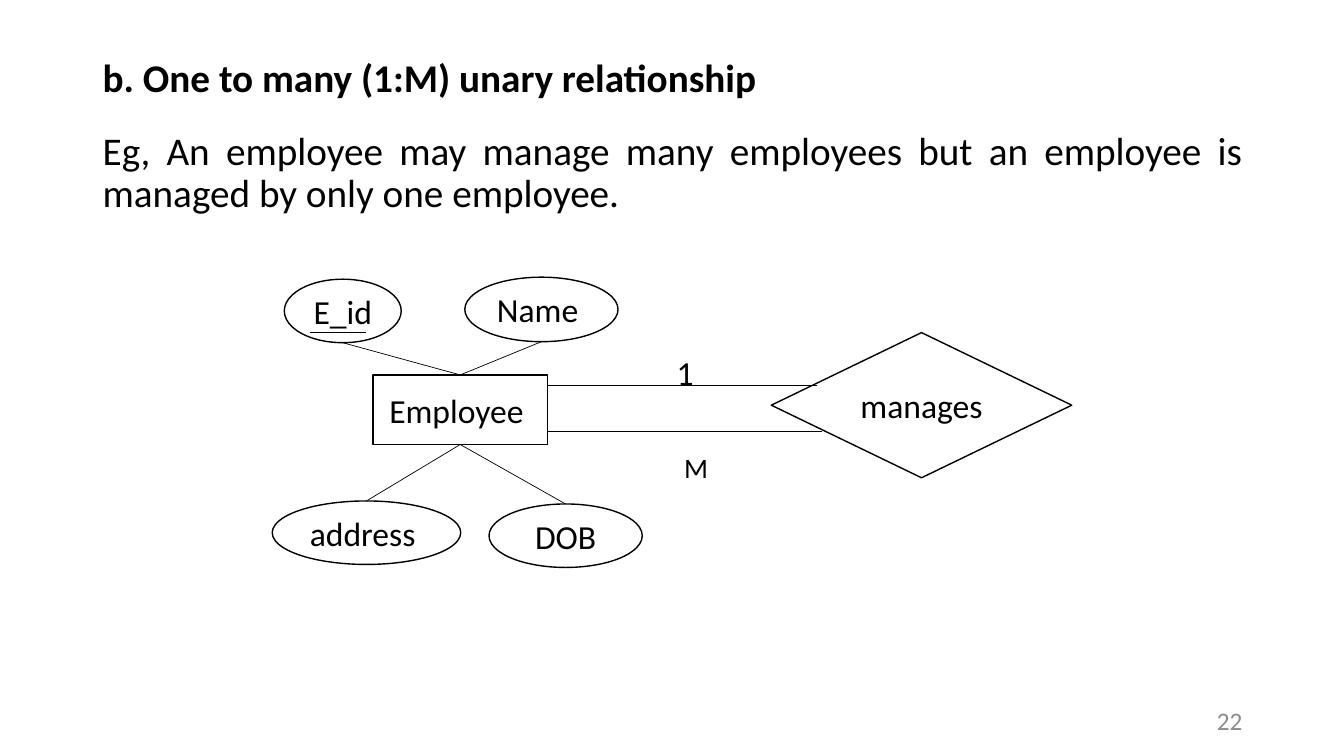
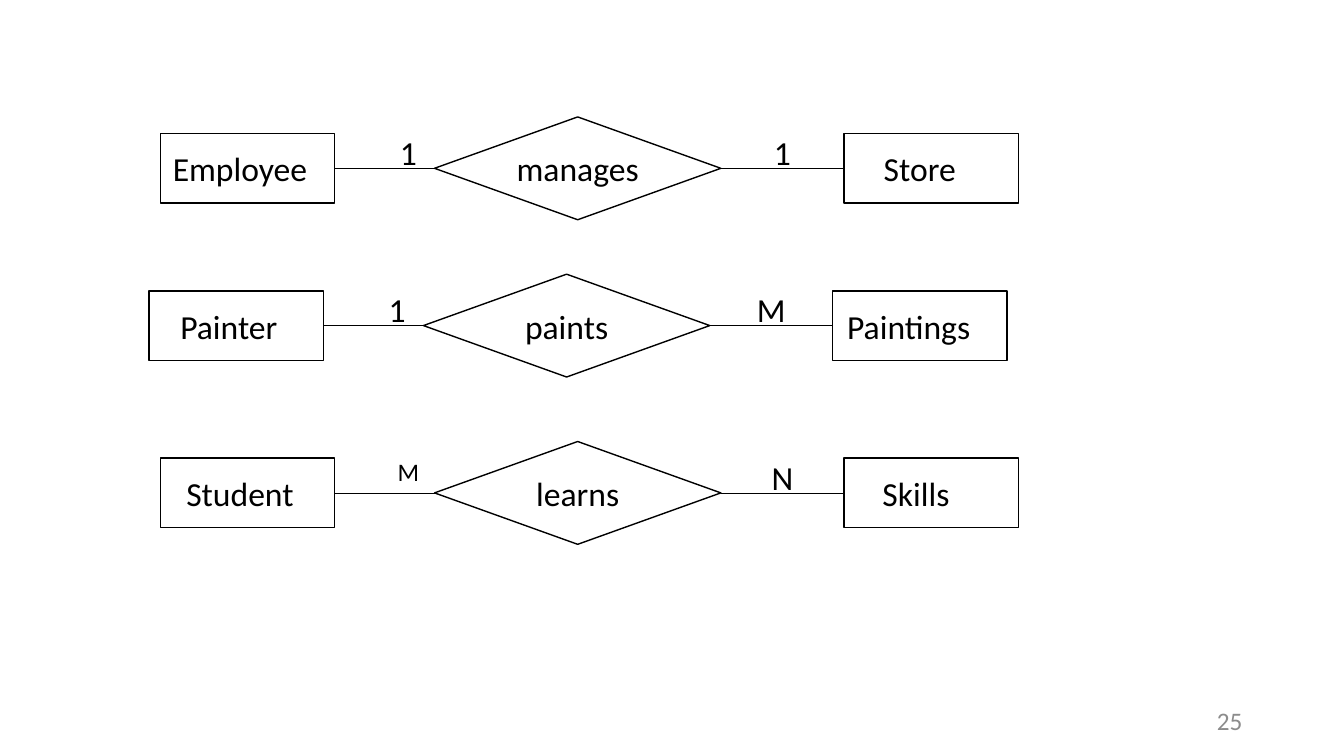
"""Build two entity-relationship slides on unary and binary relationships."""
from lxml.etree import SubElement
from pptx import Presentation
from pptx.dml.color import RGBColor
from pptx.enum.shapes import MSO_CONNECTOR, MSO_SHAPE
from pptx.enum.text import MSO_ANCHOR, PP_ALIGN
from pptx.oxml.ns import qn
from pptx.util import Inches, Pt

FONT, BLACK, WHITE, GREY = "Calibri", "000000", "FFFFFF", "8C8C8C"
BOX, DIAMOND, OVAL = MSO_SHAPE.RECTANGLE, MSO_SHAPE.FLOWCHART_DECISION, MSO_SHAPE.OVAL
TOP, LEFT, BOTTOM, RIGHT = range(4)
SPACE = 0.075

BODY = [
    ("b. One to many (1:M) unary relationship", True),
    ("Eg, An employee may manage many employees but an employee is "
     "managed by only one employee.", False),
]
ATTRIBUTES = [
    ("E_id", 0, (2.82, 2.77, 1.16, 0.63), TOP),
    ("Name", 1, (4.61, 2.75, 1.52, 0.64), TOP),
    ("address", 1, (2.7, 4.97, 1.87, 0.63), BOTTOM),
    ("DOB", 0, (4.85, 5, 1.52, 0.63), BOTTOM),
]
UNARY_LINES = [((5.43, 3.82), (8.1, 3.82)), ((5.43, 4.28), (8.15, 4.28))]
KEY_UNDERLINE = ((3.07, 3.3), (3.63, 3.3))
UNARY_LABELS = [("1", 24, (6.43, 3.44, 0.73, 0.5)), ("M", 20, (6.54, 4.42, 0.73, 0.44))]

RELATIONS = [
    (1.59, 1.16, ("Employee", 2), ("1", 24), "manages", ("1", 24), ("Store", 3)),
    (1.48, 2.72, ("Painter", 2), ("1", 24), "paints", ("M", 24), ("Paintings", 3)),
    (1.59, 4.38, ("Student", 2), ("M", 18), "learns", ("N", 24), ("Skills", 4)),
]
BOX_W, BOX_H = 1.73, 0.69
DIAMOND_W, DIAMOND_H = 2.84, 1.02
LEFT_GAP, RIGHT_GAP = 0.99, 1.22


def color(value):
    return RGBColor.from_string(value)


def add_run(p, text, size, ink=BLACK, bold=False):
    r = p.add_run()
    r.text = text
    r.font.name, r.font.size, r.font.bold = FONT, Pt(size), bold
    r.font.color.rgb = color(ink)


def add_text(slide, at, text, size, align=PP_ALIGN.CENTER, ink=BLACK, anchor=MSO_ANCHOR.TOP):
    tf = slide.shapes.add_textbox(*map(Inches, at)).text_frame
    tf.word_wrap, tf.vertical_anchor = True, anchor
    p = tf.paragraphs[0]
    p.alignment = align
    add_run(p, text, size, ink)


def add_node(slide, kind, at, text, spaces=0):
    sp = slide.shapes.add_shape(kind, *map(Inches, at))
    sp.shadow.inherit = False
    sp.fill.solid()
    sp.fill.fore_color.rgb = color(WHITE)
    sp.line.color.rgb = color(BLACK)
    sp.line.width = Pt(1)
    tf = sp.text_frame
    tf.word_wrap, tf.vertical_anchor = True, MSO_ANCHOR.MIDDLE
    tf.margin_left, tf.margin_right = 0, Inches(SPACE * spaces)
    p = tf.paragraphs[0]
    p.alignment = PP_ALIGN.CENTER
    add_run(p, text, 24)
    return sp


def add_line(slide, start=(0, 0), end=(0, 0), begin=None, finish=None):
    line = slide.shapes.add_connector(
        MSO_CONNECTOR.STRAIGHT, *map(Inches, (*start, *end)))
    line.line.color.rgb = color(BLACK)
    line.line.width = Pt(0.5)
    SubElement(line._element.spPr, qn("a:effectLst"))
    if begin:
        line.begin_connect(*begin)
    if finish:
        line.end_connect(*finish)


def add_slide(prs, number):
    slide = prs.slides.add_slide(prs.slide_layouts[6])
    add_text(slide, (9.42, 6.95, 3, 0.4), number, 18, PP_ALIGN.RIGHT, GREY, MSO_ANCHOR.MIDDLE)
    return slide


def add_body(slide):
    tf = slide.shapes.add_textbox(*map(Inches, (0.92, 0.53, 11.5, 6.97))).text_frame
    tf.word_wrap = True
    for i, (text, bold) in enumerate(BODY):
        p = tf.add_paragraph() if i else tf.paragraphs[0]
        p.alignment, p.line_spacing = PP_ALIGN.JUSTIFY, 0.9
        p.space_before, p.space_after = Pt(10 if i else 0), Pt(12)
        add_run(p, text, 28, bold=bold)


def add_unary(slide):
    add_node(slide, DIAMOND, (7.65, 3.3, 2.98, 1.44), "manages")
    employee = add_node(slide, BOX, (3.7, 3.72, BOX_W, BOX_H), "Employee", 1)
    for text, spaces, at, side in ATTRIBUTES:
        oval = add_node(slide, OVAL, at, text, spaces)
        x, y, w, h = at
        if side == TOP:
            add_line(slide, start=(x + w / 2, y + h), finish=(employee, TOP))
        else:
            add_line(slide, begin=(oval, TOP), finish=(employee, BOTTOM))
    for start, end in [*UNARY_LINES, KEY_UNDERLINE]:
        add_line(slide, start, end)
    for text, size, at in UNARY_LABELS:
        add_text(slide, at, text, size)


def add_relation(slide, x, y, source, source_label, verb, target_label, target):
    box_y = y + (DIAMOND_H - BOX_H) / 2
    diamond_x = x + BOX_W + LEFT_GAP
    target_x = diamond_x + DIAMOND_W + RIGHT_GAP
    first = add_node(slide, BOX, (x, box_y, BOX_W, BOX_H), *source)
    second = add_node(slide, BOX, (target_x, box_y, BOX_W, BOX_H), *target)
    middle = add_node(slide, DIAMOND, (diamond_x, y, DIAMOND_W, DIAMOND_H), verb)
    add_line(slide, begin=(first, RIGHT), finish=(middle, LEFT))
    add_line(slide, begin=(middle, RIGHT), finish=(second, LEFT))
    for label, left in ((source_label, diamond_x - 0.52), (target_label, target_x - 0.87)):
        add_text(slide, (left, y + 0.1, 0.52, 0.5), *label)


def main():
    prs = Presentation()
    prs.slide_width, prs.slide_height = Inches(13.33), Inches(7.5)
    unary = add_slide(prs, "22")
    add_body(unary)
    add_unary(unary)
    binary = add_slide(prs, "25")
    for relation in RELATIONS:
        add_relation(binary, *relation)
    prs.save("out.pptx")


if __name__ == "__main__":
    main()
